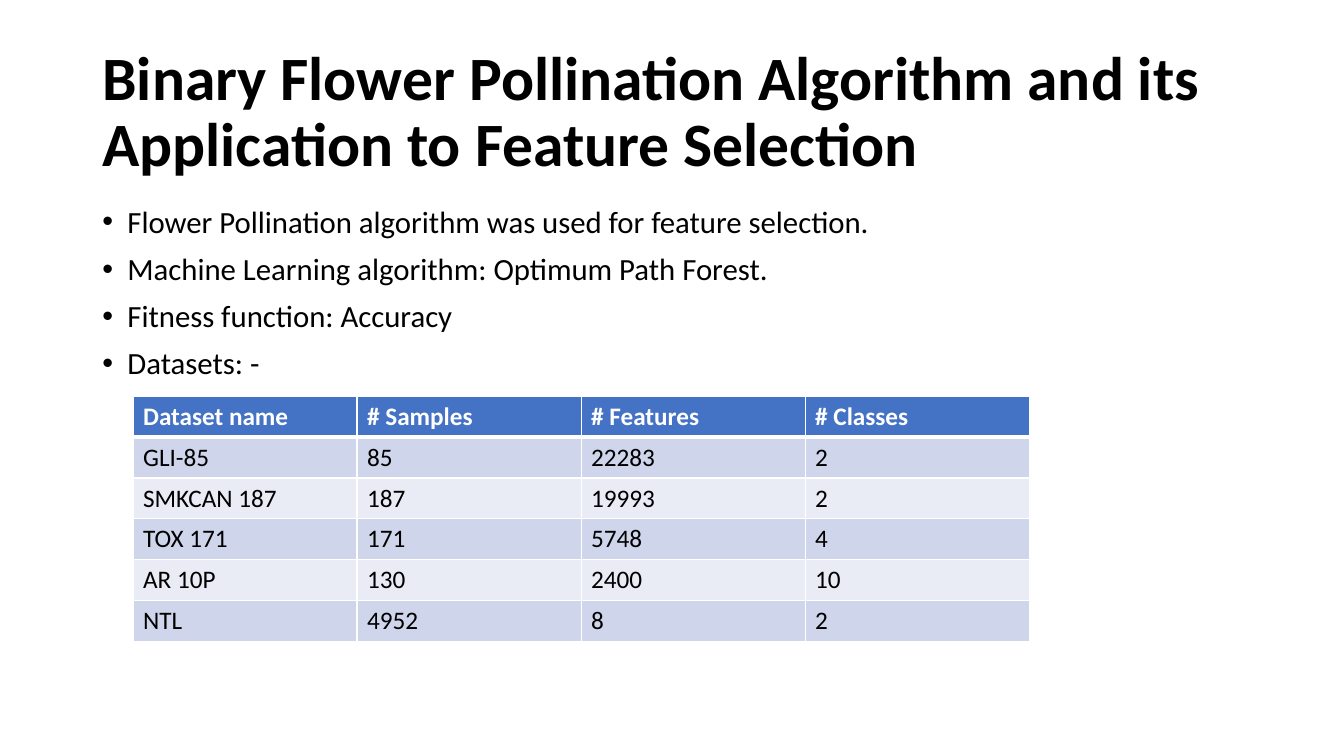
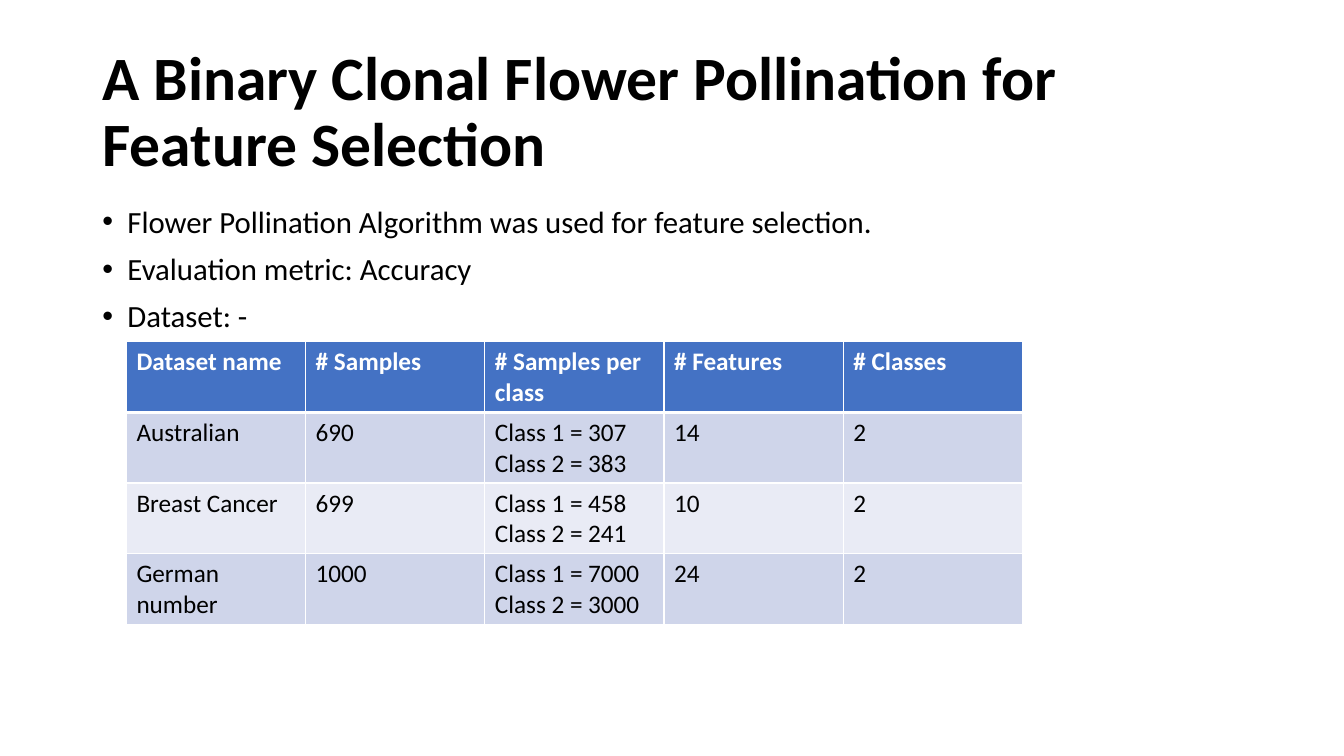
"""Build two slides on feature selection with flower pollination algorithms."""
import lxml.etree
import pptx
import pptx.dml.color
import pptx.enum.text
import pptx.oxml.ns
import pptx.util

RGBColor = pptx.dml.color.RGBColor
BLACK = RGBColor(0x00, 0x00, 0x00)
WHITE = RGBColor(0xFF, 0xFF, 0xFF)
BLUE = RGBColor(0x44, 0x72, 0xC4)
BAND_DARK = RGBColor(0xCF, 0xD5, 0xEA)
BAND_LIGHT = RGBColor(0xE9, 0xEB, 0xF5)

FONT = "Calibri"
UNIT = pptx.util.Pt(6)
COLUMNS, ROWS = 160, 90
MARGIN, CONTENT_WIDTH = 11, 138


class Deck:
    """Hold the shared style and the current slide."""

    def __init__(self):
        self.prs = pptx.Presentation()
        self.prs.slide_width, self.prs.slide_height = self.grid(COLUMNS, ROWS)
        self.s = None

    def grid(self, *lengths):
        """Turn columns and rows of the grid into lengths."""
        return [pptx.util.Emu(round(n * UNIT)) for n in lengths]

    def format(self, tf, size, color=BLACK, bold=False):
        """Give every run of a text frame the same font."""
        for p in tf.paragraphs:
            for r in p.runs:
                r.font.name = FONT
                r.font.size = pptx.util.Pt(size)
                r.font.bold = bold
                r.font.color.rgb = color

    def title_slide(self, text):
        """Start a slide with a title."""
        self.s = self.prs.slides.add_slide(self.prs.slide_layouts[5])
        sp = self.s.shapes.title
        sp.left, sp.top, sp.width, sp.height = self.grid(
            MARGIN, 4.8, CONTENT_WIDTH, 17.4)
        tf = sp.text_frame
        tf.text = text
        tf.auto_size = pptx.enum.text.MSO_AUTO_SIZE.NONE
        tf.vertical_anchor = pptx.enum.text.MSO_ANCHOR.MIDDLE
        p = tf.paragraphs[0]
        p.alignment = pptx.enum.text.PP_ALIGN.LEFT
        p.line_spacing = 0.9
        self.format(tf, 44, bold=True)

    def bullets(self, items):
        """Add the bulleted list below the title."""
        sp = self.s.shapes.add_textbox(
            *self.grid(MARGIN, 24, CONTENT_WIDTH, 57.1))
        tf = sp.text_frame
        tf.word_wrap = True
        tf.text = "\n".join(items)
        indent = pptx.util.Inches(0.25)
        for p in tf.paragraphs:
            p.line_spacing = 0.9
            p.space_before = pptx.util.Pt(10)
            pPr = p._p.get_or_add_pPr()
            pPr.set("marL", str(indent))
            pPr.set("indent", str(-indent))
            for tag, key, value in (("a:buFont", "typeface", "Arial"),
                                    ("a:buChar", "char", "•")):
                lxml.etree.SubElement(
                    pPr, pptx.oxml.ns.qn(tag)).set(key, value)
        self.format(tf, 22)

    def borders(self, cell, top, bottom):
        """Draw white cell borders with the given top and bottom widths."""
        tcPr = cell._tc.get_or_add_tcPr()
        widths = {"a:lnL": 1, "a:lnR": 1, "a:lnT": top, "a:lnB": bottom}
        for i, (tag, width) in enumerate(widths.items()):
            ln = lxml.etree.Element(pptx.oxml.ns.qn(tag))
            ln.set("w", str(pptx.util.Pt(width)))
            fill = lxml.etree.SubElement(ln, pptx.oxml.ns.qn("a:solidFill"))
            color = lxml.etree.SubElement(fill, pptx.oxml.ns.qn("a:srgbClr"))
            color.set("val", str(WHITE))
            tcPr.insert(i, ln)

    def table(self, left, top, width, height, data):
        """Add a banded table whose first row is the header."""
        table = self.s.shapes.add_table(
            len(data), len(data[0]),
            *self.grid(left, top, width, height)).table
        for i, values in enumerate(data):
            header = i == 0
            band = BAND_DARK if i % 2 else BAND_LIGHT
            for j, value in enumerate(values):
                cell = table.cell(i, j)
                cell.text_frame.text = value
                cell.fill.solid()
                cell.fill.fore_color.rgb = BLUE if header else band
                self.borders(cell, 3 if i == 1 else 1, 3 if header else 1)
                self.format(cell.text_frame, 18,
                            WHITE if header else BLACK, header)


def main():
    """Build and save the slides."""
    deck = Deck()

    deck.title_slide("Binary Flower Pollination Algorithm and its "
                     "Application to Feature Selection")
    deck.bullets(["Flower Pollination algorithm was used for feature selection.",
                  "Machine Learning algorithm: Optimum Path Forest.",
                  "Fitness function: Accuracy",
                  "Datasets: -"])
    deck.table(15.84, 47.2, 106.68, 29.16, [
        ["Dataset name", "# Samples", "# Features", "# Classes"],
        ["GLI-85", "85", "22283", "2"],
        ["SMKCAN 187", "187", "19993", "2"],
        ["TOX 171", "171", "5748", "4"],
        ["AR 10P", "130", "2400", "10"],
        ["NTL", "4952", "8", "2"],
    ])

    deck.title_slide("A Binary Clonal Flower Pollination for Feature Selection")
    deck.bullets(["Flower Pollination Algorithm was used for feature selection.",
                  "Evaluation metric: Accuracy",
                  "Dataset: -"])
    deck.table(15.05, 40.7, 106.68, 33.6, [
        ["Dataset name", "# Samples", "# Samples per class",
         "# Features", "# Classes"],
        ["Australian", "690", "Class 1 = 307\nClass 2 = 383", "14", "2"],
        ["Breast Cancer", "699", "Class 1 = 458\nClass 2 = 241", "10", "2"],
        ["German number", "1000", "Class 1 = 7000\nClass 2 = 3000", "24", "2"],
    ])

    deck.prs.save("out.pptx")


if __name__ == "__main__":
    main()
